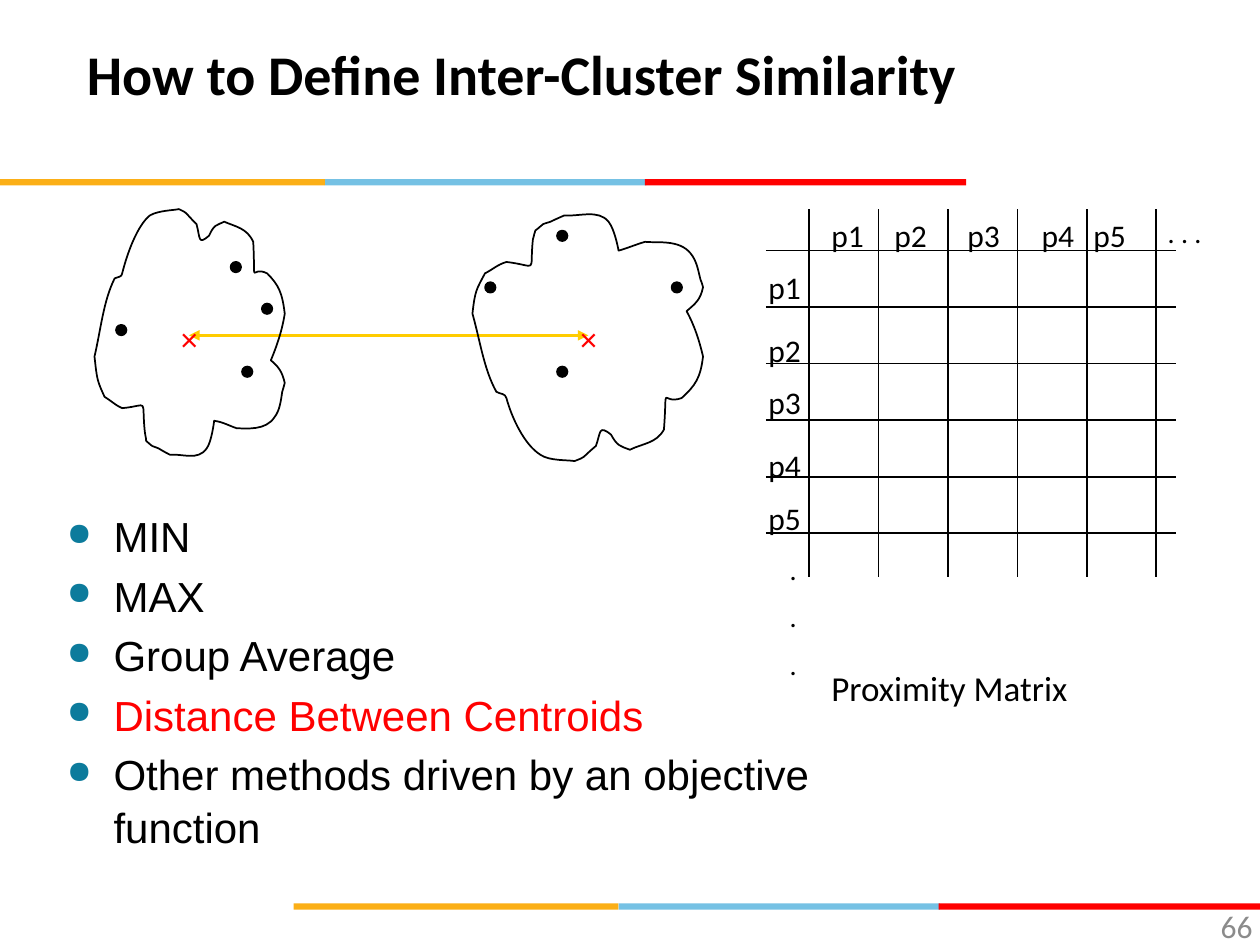
from lxml import etree
from pptx import Presentation
from pptx.dml.color import RGBColor
from pptx.enum.shapes import MSO_CONNECTOR, MSO_SHAPE
from pptx.enum.text import PP_ALIGN
from pptx.oxml.ns import qn
from pptx.util import Cm, Pt

LINE = MSO_CONNECTOR.STRAIGHT
RECT, OVAL = MSO_SHAPE.RECTANGLE, MSO_SHAPE.OVAL
LEFT, RIGHT = PP_ALIGN.LEFT, PP_ALIGN.RIGHT

BLACK = RGBColor(0x00, 0x00, 0x00)
RED = RGBColor(0xFF, 0x00, 0x00)
AMBER = RGBColor(0xFB, 0xAF, 0x17)
SKY = RGBColor(0x75, 0xC1, 0xE4)
GOLD = RGBColor(0xFF, 0xCC, 0x00)
GREY = RGBColor(0x8B, 0x8B, 0x8B)
TEAL = RGBColor(0x0C, 0x7B, 0x9C)

PAD = (0.25, 0.13)

# Cluster outlines in hundredths of an inch: a start, then Bezier triples
LEFT_RING = [
    (91, 221), (82, 239), (80, 262), (75, 283), (77, 301), (77, 302), (83, 315),
    (88, 318), (92, 322), (97, 324), (119, 322), (112, 315), (115, 343),
    (115, 345), (116, 347), (116, 350), (123, 356), (119, 353), (126, 356),
    (129, 358), (135, 361), (135, 361), (145, 360), (157, 366), (164, 356),
    (168, 351), (170, 334), (170, 334), (177, 335), (182, 338), (188, 340),
    (196, 340), (211, 342), (218, 331), (222, 326), (223, 318), (224, 311),
    (225, 308), (226, 304), (226, 304), (224, 295), (221, 291), (215, 286),
    (220, 274), (224, 262), (226, 249), (224, 232), (221, 226), (212, 217),
    (198, 210), (203, 231), (201, 192), (196, 181), (187, 180), (178, 176),
    (172, 179), (170, 178), (166, 187), (157, 195), (159, 189), (156, 178),
    (145, 167), (150, 170), (142, 166), (138, 167), (126, 167), (119, 171),
    (109, 179), (101, 201), (97, 217), (97, 220), (93, 220), (91, 221)]
RIGHT_RING = [
    (394, 311), (384, 293), (381, 270), (375, 249), (377, 231), (378, 230),
    (385, 217), (391, 214), (395, 210), (402, 208), (428, 211), (420, 218),
    (423, 190), (424, 187), (424, 185), (425, 183), (434, 176), (428, 179),
    (437, 176), (441, 174), (448, 171), (448, 171), (460, 172), (475, 166),
    (483, 176), (488, 182), (491, 199), (491, 199), (498, 197), (505, 194),
    (512, 192), (522, 193), (539, 190), (548, 201), (553, 207), (554, 214),
    (556, 222), (557, 224), (558, 228), (558, 228), (556, 238), (552, 241),
    (545, 247), (551, 258), (555, 270), (558, 283), (556, 300), (552, 306),
    (541, 316), (524, 322), (530, 301), (527, 341), (521, 352), (510, 352),
    (500, 357), (492, 354), (490, 354), (485, 345), (475, 337), (477, 343),
    (473, 354), (460, 365), (466, 362), (456, 366), (451, 365), (436, 366),
    (429, 361), (416, 353), (406, 331), (402, 316), (401, 312), (397, 313),
    (394, 311)]


class Deck:
    def __init__(self):
        self.prs = Presentation()
        self.prs.slide_width, self.prs.slide_height = Cm(25.4), Cm(19.05)
        self.slide = self.prs.slides.add_slide(self.prs.slide_layouts[6])
        self.shapes = self.slide.shapes

    def shape(self, kind, x, y, w, h, color, edge=None):
        item = self.shapes.add_shape(kind, Cm(x), Cm(y), Cm(w), Cm(h))
        item.shadow.inherit = False
        item.fill.solid()
        item.fill.fore_color.rgb = color
        if edge is None:
            item.line.fill.background()
        else:
            item.line.color.rgb = edge
            item.line.width = Pt(1)

    def line(self, x1, y1, x2, y2, color=BLACK, width=1, heads=False):
        item = self.shapes.add_connector(LINE, Cm(x1), Cm(y1), Cm(x2), Cm(y2))
        item.line.color.rgb = color
        item.line.width = Pt(width)
        props = item._element.spPr
        if heads:
            for tag in ("a:headEnd", "a:tailEnd"):
                etree.SubElement(props.find(qn("a:ln")), qn(tag), type="triangle")
        etree.SubElement(props, qn("a:effectLst"))

    def ring(self, points):
        (x, y), rest = points[0], points[1:]
        pen = self.shapes.build_freeform(x, y, scale=Cm(0.0254))
        pen.add_line_segments(rest, close=True)
        item = pen.convert_to_shape()
        item.shadow.inherit = False
        item.fill.background()
        item.line.color.rgb = BLACK
        item.line.width = Pt(1)
        # Join each three straight steps into one curve
        steps = list(item._element.iter(qn("a:lnTo")))
        for i in range(0, len(rest), 3):
            curve = etree.Element(qn("a:cubicBezTo"))
            steps[i].addprevious(curve)
            for step in steps[i:i + 3]:
                curve.append(step[0])
                step.getparent().remove(step)

    def text(self, x, y, w, h, words, size, color=BLACK, font="Calibri",
             bold=False, align=LEFT, pad=PAD, gap=0):
        box = self.shapes.add_textbox(Cm(x), Cm(y), Cm(w), Cm(h))
        frame = box.text_frame
        frame.word_wrap = True
        frame.margin_left = frame.margin_right = Cm(pad[0])
        frame.margin_top = frame.margin_bottom = Cm(pad[1])
        frame.text = words
        for i, para in enumerate(frame.paragraphs):
            para.alignment = align
            if i and gap:
                para.space_before = Pt(gap)
            for run in para.runs:
                run.font.name, run.font.size = font, Pt(size)
                run.font.bold = bold
                run.font.color.rgb = color
        return frame

    def bullets(self, x, y, w, h, words, size, marked):
        frame = self.text(x, y, w, h, words, size, font="Arial", gap=2)
        for para in frame.paragraphs:
            para.space_after = Pt(2)
            para.line_spacing = 1.04
            props = para._p.get_or_add_pPr()
            props.set("marL", str(Cm(0.97)))
            props.set("indent", str(-Cm(0.94)))
            tint = etree.SubElement(props, qn("a:buClr"))
            etree.SubElement(tint, qn("a:srgbClr"), val=str(TEAL))
            etree.SubElement(props, qn("a:buSzPct"), val="75000")
            etree.SubElement(props, qn("a:buChar"), char="●")
            if para.text == marked:
                para.runs[0].font.color.rgb = RED


def main():
    deck = Deck()

    # Colour bands
    for left, top in ((0, 3.61), (5.92, 18.21)):
        for x, w, color in ((6.55, 6.48, SKY), (0, 6.55, AMBER), (13, 6.48, RED)):
            deck.shape(RECT, left + x, top, w, 0.13, color)

    # Title and page number
    deck.text(1.75, 0.79, 21.89, 1.32, "How to Define Inter-Cluster Similarity",
              32, bold=True, pad=(0, 0))
    deck.text(19.53, 18.29, 5.72, 0.64, "66", 18, GREY, align=RIGHT, pad=(0, 0))

    # Clusters with their points and centroids
    deck.line(3.81, 6.76, 11.86, 6.76, GOLD, 2, heads=True)
    deck.ring(LEFT_RING)
    deck.ring(RIGHT_RING)
    for x, y in ((4.88, 7.39), (4.65, 5.28), (2.34, 6.55), (5.28, 6.12),
                 (13.54, 5.69), (9.78, 5.69), (11.23, 7.39), (11.23, 4.65)):
        deck.shape(OVAL, x, y, 0.21, 0.21, BLACK, BLACK)
    for x in (3.38, 11.43):
        deck.text(x, 6.32, 0.64, 1.02, "×", 18, RED, "Arial")

    # Proximity matrix
    for i in range(6):
        x, y = 16.31 + 1.4 * i, 5.05 + 1.14 * i
        deck.line(x, 4.22, x, 11.63)
        deck.line(15.44, y, 23.7, y)
    cols = (16.51, 17.78, 19.25, 20.75, 21.79)
    rows = (5.28, 6.55, 7.59, 8.86, 9.93)
    for i, (x, y) in enumerate(zip(cols, rows), 1):
        deck.text(x, 4.22, 1.47, 1.02, f"p{i}", 18)
        deck.text(15.24, y, 1.47, 1.02, f"p{i}", 18)
    deck.text(23.29, 4.22, 1.47, 0.91, ". . .", 16)
    deck.text(15.67, 11, 1.47, 2.84, ".\n.\n.", 16, gap=8)
    deck.text(16.51, 13.31, 6.99, 1.09, "Proximity Matrix", 20)

    # Methods
    methods = ("MIN", "MAX", "Group Average", "Distance Between Centroids",
               "Other methods driven by an objective function")
    deck.bullets(1.07, 10.13, 16.08, 7.42, "\n".join(methods), 24, methods[3])

    deck.prs.save("out.pptx")


if __name__ == "__main__":
    main()
